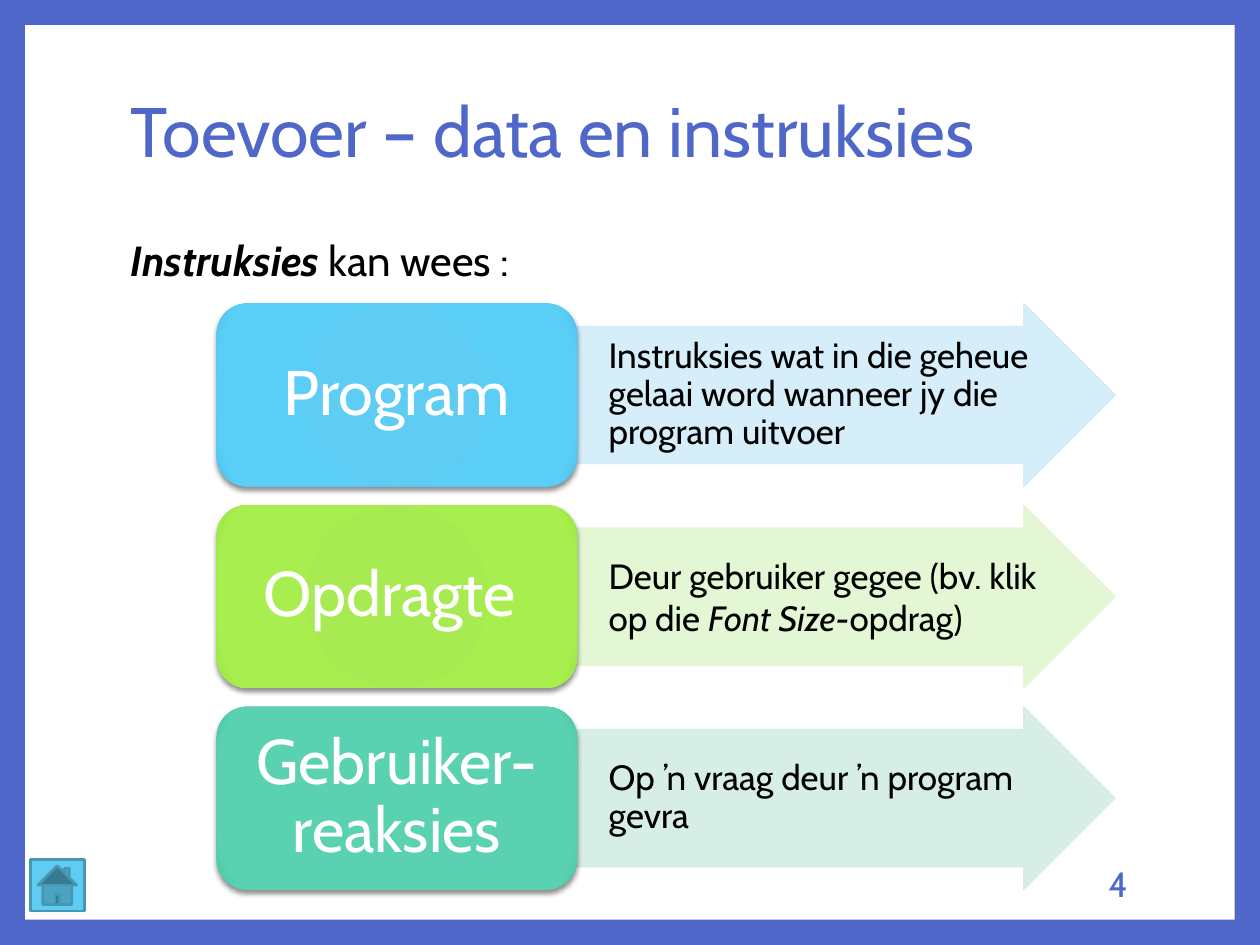
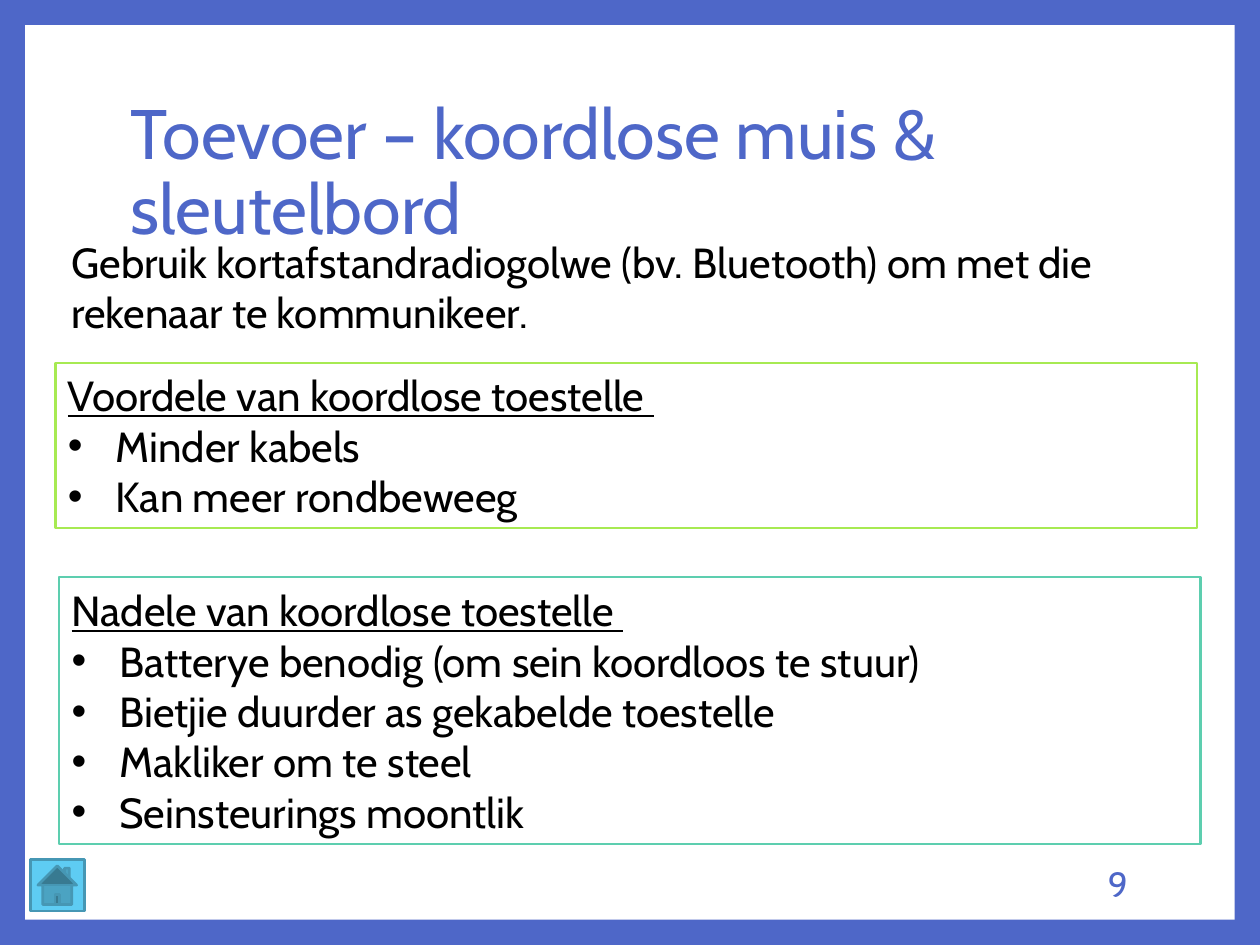
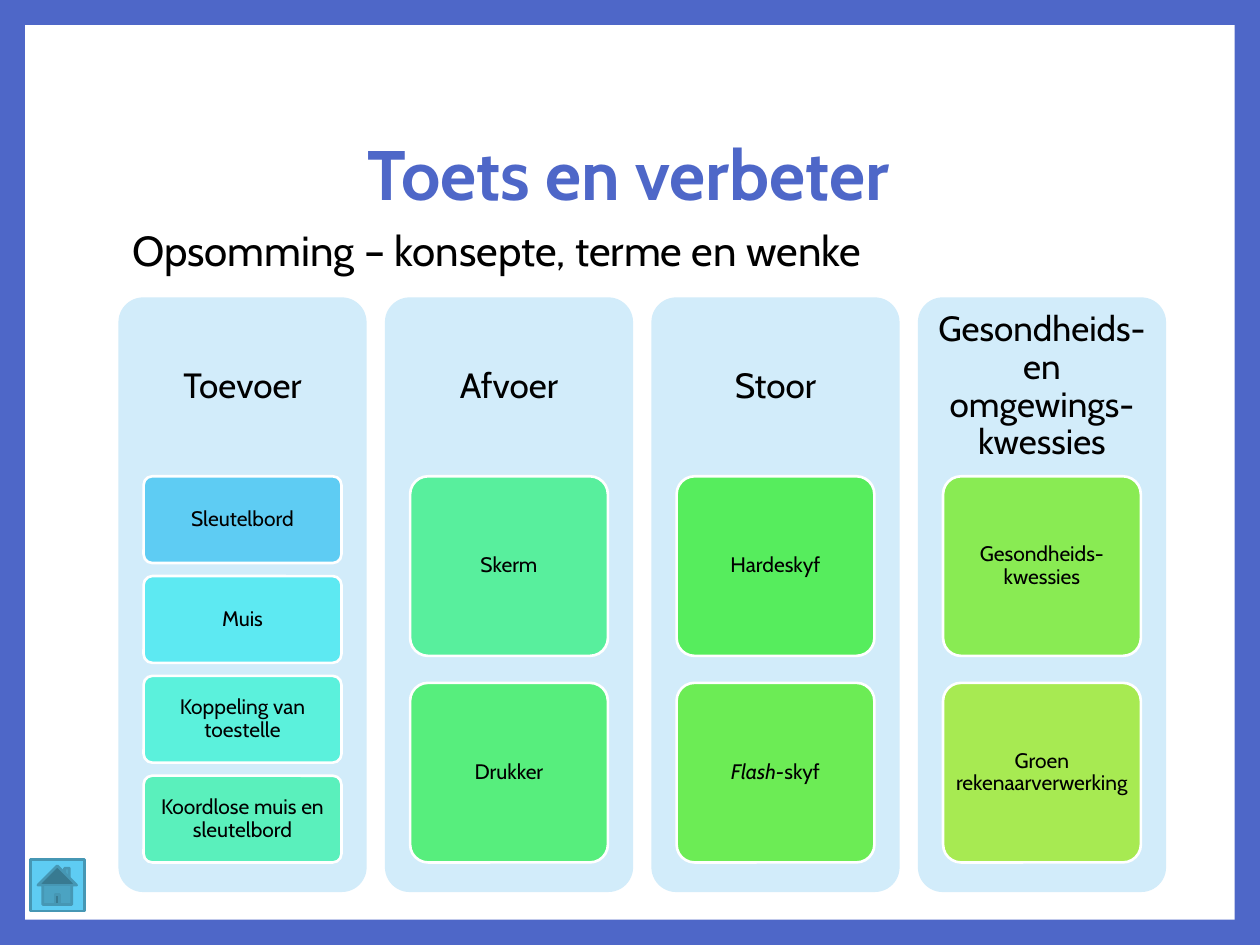
from lxml import etree
from pptx import Presentation
from pptx.dml.color import RGBColor
from pptx.enum.shapes import MSO_SHAPE
from pptx.enum.text import MSO_ANCHOR, PP_ALIGN
from pptx.oxml import parse_xml
from pptx.oxml.ns import nsdecls, qn
from pptx.util import Inches, Pt

RECT = MSO_SHAPE.RECTANGLE
ROUNDED = MSO_SHAPE.ROUNDED_RECTANGLE
ARROW = MSO_SHAPE.RIGHT_ARROW
HOME = MSO_SHAPE.ACTION_BUTTON_HOME
TOP, MIDDLE = MSO_ANCHOR.TOP, MSO_ANCHOR.MIDDLE
LEFT, CENTER, RIGHT = PP_ALIGN.LEFT, PP_ALIGN.CENTER, PP_ALIGN.RIGHT

# Grid: 100 columns by 75 rows over the slide
COLUMNS, ROWS = 100, 75
FONT = "Cabin"
BLUE, SKY, LIME, MINT = "4E67C8", "5ECCF3", "A7EA52", "5DCEAF"
PALE, WHITE, BLACK = "D2ECFA", "FFFFFF", "000000"
BUTTON_EDGE = "4697B4"
INSETS = (0.1, 0.05, 0.1, 0.05)


def color(value):
    return RGBColor.from_string(value)


class Deck:
    """Holds the shared style and the current slide."""

    def __init__(self):
        self.deck = Presentation()
        self.deck.slide_width, self.deck.slide_height = Inches(10), Inches(7.5)
        background = self.deck.slide_master.background.fill
        background.solid()
        background.fore_color.rgb = color(BLUE)
        self.page = None

    def place(self, left, top, width, height):
        column = self.deck.slide_width / COLUMNS
        row = self.deck.slide_height / ROWS
        return (round(left * column), round(top * row),
                round(width * column), round(height * row))

    def start(self):
        self.page = self.deck.slides.add_slide(self.deck.slide_layouts[6])
        self.shape(RECT, (2, 2, 96, 71), WHITE)

    def shape(self, kind, area, fill, line=None, weight=1.5, adjust=()):
        box = self.page.shapes.add_shape(kind, *self.place(*area))
        box.shadow.inherit = False
        box.fill.solid()
        box.fill.fore_color.rgb = color(fill)
        if line:
            box.line.color.rgb = color(line)
            box.line.width = Pt(weight)
        else:
            box.line.fill.background()
        for index, value in enumerate(adjust):
            box.adjustments[index] = value
        return box

    def fill_text(self, box, paras, size, ink=BLACK, align=LEFT, anchor=MIDDLE,
                  insets=INSETS, spacing=1.0, bullets_from=None):
        """Fill a box; each para is a list of (text, style letters) spans."""
        frame = box.text_frame
        frame.word_wrap = True
        frame.vertical_anchor = anchor
        (frame.margin_left, frame.margin_top,
         frame.margin_right, frame.margin_bottom) = map(Inches, insets)
        for index, spans in enumerate(paras):
            para = frame.paragraphs[0] if index == 0 else frame.add_paragraph()
            para.alignment = align
            para.line_spacing = spacing
            if bullets_from is not None and index >= bullets_from:
                self.bullet(para)
            for text, style in spans:
                span = para.add_run()
                span.text = text
                span.font.name = FONT
                span.font.size = Pt(size)
                span.font.color.rgb = color(ink)
                span.font.bold = "b" in style
                span.font.italic = "i" in style
                span.font.underline = "u" in style
        return box

    def bullet(self, para):
        properties = para._p.get_or_add_pPr()
        properties.set("marL", str(Inches(0.38)))
        properties.set("indent", str(-Inches(0.38)))
        etree.SubElement(properties, qn("a:buFont")).set("typeface", "Arial")
        etree.SubElement(properties, qn("a:buChar")).set("char", "•")

    def text(self, area, spans, size, **options):
        box = self.page.shapes.add_textbox(*self.place(*area))
        return self.fill_text(box, [spans], size, **options)

    def title(self, text, style="", width=81, height=14.8, **options):
        self.text((9.4, 6.7, width, height), [(text, style)], 40, ink=BLUE,
                  spacing=0.9, **options)

    def footer(self, number=None):
        if number:
            self.text((76.5, 68.1, 14, 4), [(number, "")], 20, ink=BLUE,
                      align=RIGHT)
        self.shape(HOME, (2.4, 68.2, 4.3, 4.1), SKY, BUTTON_EDGE)

    def fade(self, box, percent):
        """Make the fill and the line of a shape slightly transparent."""
        for tint in box._element.spPr.iter(qn("a:srgbClr")):
            etree.SubElement(tint, qn("a:alpha")).set("val", str(percent * 1000))

    def glow(self, box, shades):
        """Give a shape a radial gradient and a soft shadow below it."""
        stops = "".join(
            f'<a:gs pos="{place * 1000}"><a:srgbClr val="{shade}"/></a:gs>'
            for place, shade in zip((0, 90, 100), shades))
        gradient = parse_xml(
            f'<a:gradFill {nsdecls("a")} rotWithShape="1"><a:gsLst>{stops}</a:gsLst>'
            '<a:path path="circle"><a:fillToRect l="100000" t="100000" '
            'r="100000" b="100000"/></a:path></a:gradFill>')
        shadow = parse_xml(
            f'<a:outerShdw {nsdecls("a")} blurRad="{Pt(3)}" dist="{Pt(2)}" '
            'dir="5400000" rotWithShape="0"><a:srgbClr val="000000">'
            '<a:alpha val="45000"/></a:srgbClr></a:outerShdw>')
        properties = box._element.spPr
        properties.replace(properties.find(qn("a:solidFill")), gradient)
        properties.find(qn("a:effectLst")).append(shadow)

    def instruction(self, row, name, shades, tint, spans, spacing):
        """One named block with an arrow that explains it."""
        top = 24.1 + 16 * row
        arrow = self.shape(ARROW, (45.7, top, 42.8, 14.5), tint, tint, 0.79,
                           (0.75, 0.5))
        self.fade(arrow, 90)
        self.fill_text(arrow, [spans], 20, insets=(0.26, 0.01, 0.01, 0.01),
                       spacing=spacing)
        block = self.shape(ROUNDED, (17.2, top, 28.6, 14.5), shades[0])
        self.glow(block, shades)
        self.fill_text(block, [[(name, "")]], 36, ink=WHITE, align=CENTER,
                       insets=(0.15, 0.07, 0.15, 0.07), spacing=0.9)

    def framed_list(self, area, edge, heading, items):
        box = self.shape(RECT, area, WHITE, edge)
        paras = [[(heading, "u")]] + [[(item, "")] for item in items]
        self.fill_text(box, paras, 24, bullets_from=1)

    def topic(self, column, heading, cards):
        """A column panel with equal cards, gaps 15% of a card's height."""
        left, top, width, header = 9.4 + 21.15 * column, 23.6, 19.7, 14.2
        self.shape(ROUNDED, (left, top, width, 47.2), PALE, adjust=(0.1,))
        self.text((left, top, width, header), [(heading, "")], 20, align=CENTER,
                  insets=(0.08,) * 4, spacing=0.9)
        count = len(cards)
        height = 30.65 / (count + 0.15 * (count - 1))
        for index, (fill, spans) in enumerate(cards):
            area = (left + 2, top + header + 1.15 * height * index, 15.7, height)
            card = self.shape(ROUNDED, area, fill, WHITE, adjust=(0.1,))
            self.fill_text(card, [spans], 12, align=CENTER, insets=(0.03,) * 4,
                           spacing=0.9)


INSTRUCTIONS = [
    ("Program", (SKY, "5ACEF7", "48C0EA"), PALE,
     [("Instruksies wat in die geheue gelaai word wanneer jy die program uitvoer", "")],
     0.9),
    ("Opdragte ", (LIME, "A7EE4E", "99E23D"), "E1F7D1",
     [("Deur gebruiker gegee (bv. klik op die ", ""), ("Font Size-", "i"),
      ("opdrag)", "")], 1.0),
    ("Gebruiker- reaksies", (MINT, "5AD1B0", "4AC5A3"), "D2EDE3",
     [("Op ’n vraag deur ’n program gevra", "")], 0.9),
]

TOPICS = [
    ("Toevoer", [(SKY, [("Sleutelbord", "")]),
                 ("5DE9F2", [("Muis", "")]),
                 ("5BF1DC", [("Koppeling van toestelle", "")]),
                 ("5AF0BC", [("Koordlose muis en sleutelbord", "")])]),
    ("Afvoer", [("58EF9D", [("Skerm", "")]),
                ("57EE7D", [("Drukker", "")])]),
    ("Stoor", [("56ED5D", [("Hardeskyf", "")]),
               ("6CEC55", [("Flash-", "i"), ("skyf", "")])]),
    ("Gesondheids- en omgewings-kwessies",
     [("89EB53", [("Gesondheids-kwessies", "")]),
      (LIME, [("Groen rekenaarverwerking", "")])]),
]


def main():
    show = Deck()

    # Kinds of instructions
    show.start()
    show.text((9.4, 18.1, 70.5, 5), [("Instruksies", "bi"), (" kan wees :", "")], 24)
    for row, instruction in enumerate(INSTRUCTIONS):
        show.instruction(row, *instruction)
    show.title("Toevoer – data en instruksies", anchor=TOP,
               insets=(0.1, 0.1, 0.1, 0.05))
    show.footer("4")

    # Wireless mouse and keyboard
    show.start()
    show.title("Toevoer – koordlose muis & sleutelbord", width=85.9, height=14.3)
    show.text((4.7, 18.2, 90.6, 9.1),
              [("Gebruik kortafstandradiogolwe (bv. Bluetooth) om met die "
                "rekenaar te kommunikeer.", "")], 24)
    show.framed_list((4.4, 28.8, 90.6, 13.1), LIME,
                     "Voordele van koordlose toestelle ",
                     ["Minder kabels", "Kan meer rondbeweeg"])
    show.framed_list((4.7, 45.8, 90.6, 21.2), MINT,
                     "Nadele van koordlose toestelle ",
                     ["Batterye benodig (om sein koordloos te stuur)",
                      "Bietjie duurder as gekabelde toestelle",
                      "Makliker om te steel", "Seinsteurings moontlik"])
    show.footer("9")

    # Summary of topics
    show.start()
    show.title("Toets en verbeter", "b", align=CENTER)
    show.text((9.5, 17.3, 85.2, 5), [("Opsomming – konsepte, terme en wenke", "")],
              24, anchor=TOP)
    for column, topic in enumerate(TOPICS):
        show.topic(column, *topic)
    show.footer()

    show.deck.save("out.pptx")


if __name__ == "__main__":
    main()
